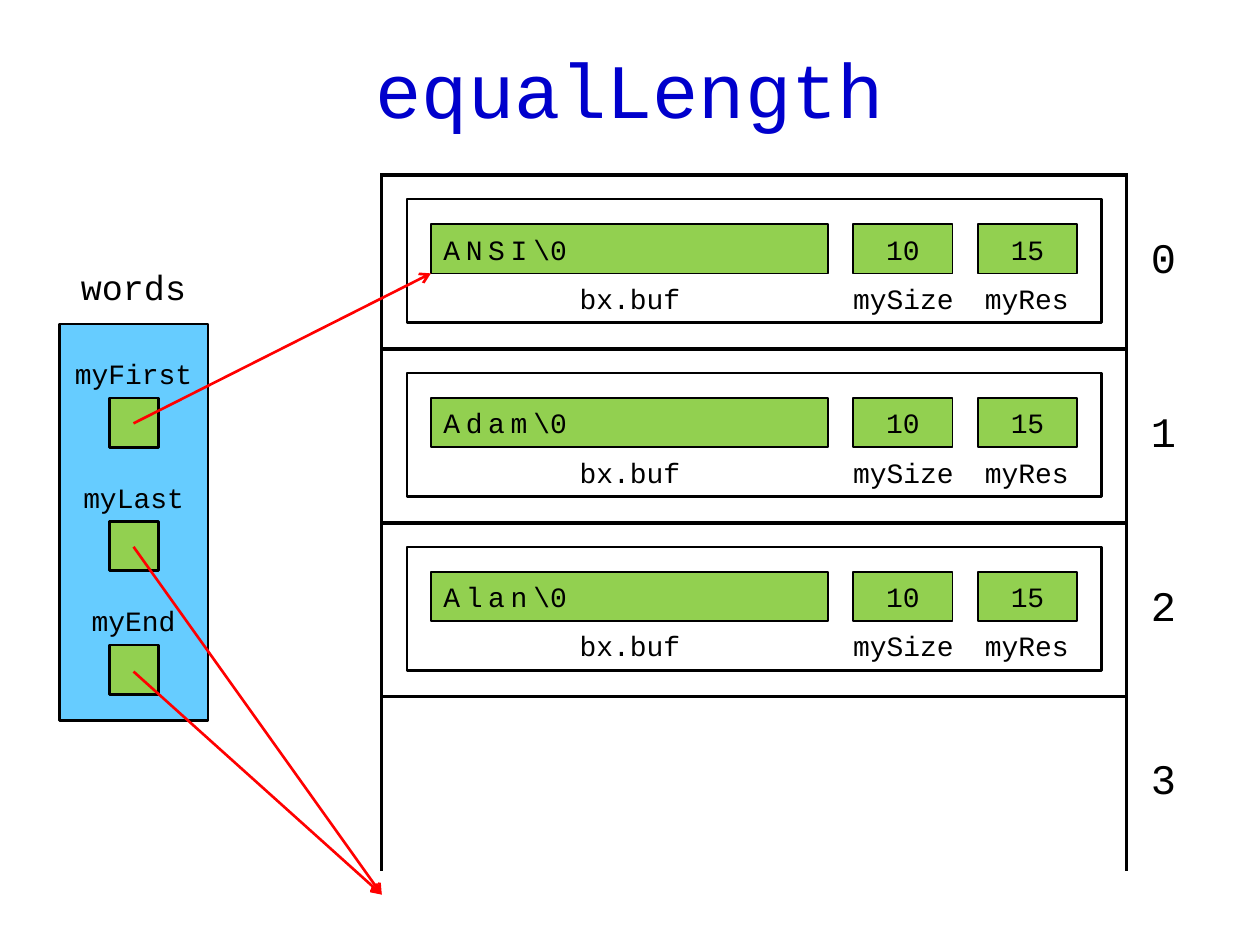
import lxml.etree
import pptx
import pptx.dml.color
import pptx.enum.shapes
import pptx.enum.text
import pptx.oxml.ns
import pptx.util

Inches, Pt = pptx.util.Inches, pptx.util.Pt
RGBColor = pptx.dml.color.RGBColor
SHAPE = pptx.enum.shapes.MSO_SHAPE
ALIGN = pptx.enum.text.PP_ALIGN
qn = pptx.oxml.ns.qn

BLACK = RGBColor(0, 0, 0)
WHITE = RGBColor(255, 255, 255)
TITLE_BLUE = RGBColor(0, 0, 0xCC)
SKY = RGBColor(0x66, 0xCC, 0xFF)
GREEN = RGBColor(0x92, 0xD0, 0x50)
RED = RGBColor(255, 0, 0)


class Diagram:
    """Hold the font and the current slide, and draw the memory diagram on it."""

    font = "Courier New"

    def __init__(self, prs):
        self.s = prs.slides.add_slide(prs.slide_layouts[5])

    def style(self, tf, size, color=BLACK, align=ALIGN.CENTER):
        tf.word_wrap = True
        tf.vertical_anchor = pptx.enum.text.MSO_ANCHOR.MIDDLE
        p = tf.paragraphs[0]
        p.alignment = align
        p.font.name, p.font.size, p.font.color.rgb = self.font, Pt(size), color
        return p

    def title(self, text, x, y, w, h):
        sp = self.s.shapes.title
        sp.left, sp.top, sp.width, sp.height = map(Inches, (x, y, w, h))
        sp.text_frame.text = text
        self.style(sp.text_frame, 44, TITLE_BLUE)

    def label(self, text, x, y, w=1.18, h=0.39, size=16):
        sp = self.s.shapes.add_textbox(*map(Inches, (x, y, w, h)))
        sp.text_frame.text = text
        self.style(sp.text_frame, size)

    def box(self, x, y, w, h, fill, line=1.5, text="", kind=SHAPE.RECTANGLE):
        sp = self.s.shapes.add_shape(kind, *map(Inches, (x, y, w, h)))
        sp.shadow.inherit = False
        sp.fill.solid()
        sp.fill.fore_color.rgb = fill
        sp.line.color.rgb, sp.line.width = BLACK, Pt(line)
        sp.text_frame.text = text
        self.style(sp.text_frame, 16)
        return sp

    def buffer(self, word, x, y, w, h):
        sp = self.box(x, y, w, h, GREEN, 1)
        p = self.style(sp.text_frame, 16, align=ALIGN.LEFT)
        for text, spacing in ((word, 330), ("\\", -150), ("0", 0)):
            r = p.add_run()
            r.text = text
            r.font._element.set("spc", str(spacing))

    def borders(self, cell, sides):
        tc_pr = cell._tc.get_or_add_tcPr()
        for i, side in enumerate("LRTB"):
            ln = lxml.etree.Element(qn(f"a:ln{side}"), w=str(Pt(2.25)))
            if side in sides:
                fill = lxml.etree.SubElement(ln, qn("a:solidFill"))
                lxml.etree.SubElement(fill, qn("a:srgbClr"), val=str(BLACK))
            else:
                lxml.etree.SubElement(ln, qn("a:noFill"))
            tc_pr.insert(i, ln)

    def array(self, x, y, widths, row_height, rows):
        size = (sum(widths), rows * row_height)
        table = self.s.shapes.add_table(rows, 2, *map(Inches, (x, y, *size))).table
        table.first_row = table.horz_banding = False
        for column, width in zip(table.columns, widths):
            column.width = Inches(width)
        for i, row in enumerate(table.rows):
            row.height = Inches(row_height)
            slot, index = row.cells
            index.text = str(i)
            index.vertical_anchor = pptx.enum.text.MSO_ANCHOR.MIDDLE
            p = index.text_frame.paragraphs[0]
            p.alignment = ALIGN.CENTER
            p.font.name, p.font.size, p.font.color.rgb = self.font, Pt(24), BLACK
            for cell, sides in ((slot, "LRTB" if i < rows - 1 else "LRT"), (index, "L")):
                cell.fill.background()
                self.borders(cell, sides)

    def arrow(self, x1, y1, x2, y2):
        line = self.s.shapes.add_connector(
            pptx.enum.shapes.MSO_CONNECTOR.STRAIGHT, *map(Inches, (x1, y1, x2, y2)))
        line.line.color.rgb, line.line.width = RED, Pt(1.5)
        lxml.etree.SubElement(line.line._get_or_add_ln(), qn("a:tailEnd"), type="arrow")
        lxml.etree.SubElement(line._element.spPr, qn("a:effectLst"))


prs = pptx.Presentation()
prs.slide_width, prs.slide_height = Inches(10), Inches(7.5)
d = Diagram(prs)
d.title("equalLength", 0.47, 0.21, 9.06, 0.98)

ROW, SIDE = 1.38, 0.39
d.array(3.03, 1.39, (5.91, 0.59), ROW, 4)

d.label("words", 0.47, 1.98, h=0.59, size=20)
d.box(0.47, 2.57, 1.18, 3.15, SKY, kind=SHAPE.FLOWCHART_PROCESS)
for i, name in enumerate(("myFirst", "myLast", "myEnd")):
    y = 2.77 + i * 0.98
    d.label(name, 0.47, y)
    d.box(0.87, y + SIDE, SIDE, SIDE, GREEN)

for i, word in enumerate(("ANSI", "Adam", "Alan")):
    y = 1.58 + i * ROW
    d.box(3.23, y, 5.51, 0.98, WHITE, kind=SHAPE.FLOWCHART_PROCESS)
    d.buffer(word, 3.42, y + 0.2, 3.15, SIDE)
    for x, value in ((6.77, "10"), (7.76, "15")):
        d.box(x, y + 0.2, 0.79, SIDE, GREEN, 1, value)
    for x, name in ((4.41, "bx.buf"), (6.58, "mySize"), (7.56, "myRes")):
        d.label(name, x, y + 0.59)

for y, end in ((3.36, (3.42, 2.17)), (4.34, (3.03, 7.1)), (5.33, (3.03, 7.1))):
    d.arrow(1.06, y, *end)

prs.save("out.pptx")
